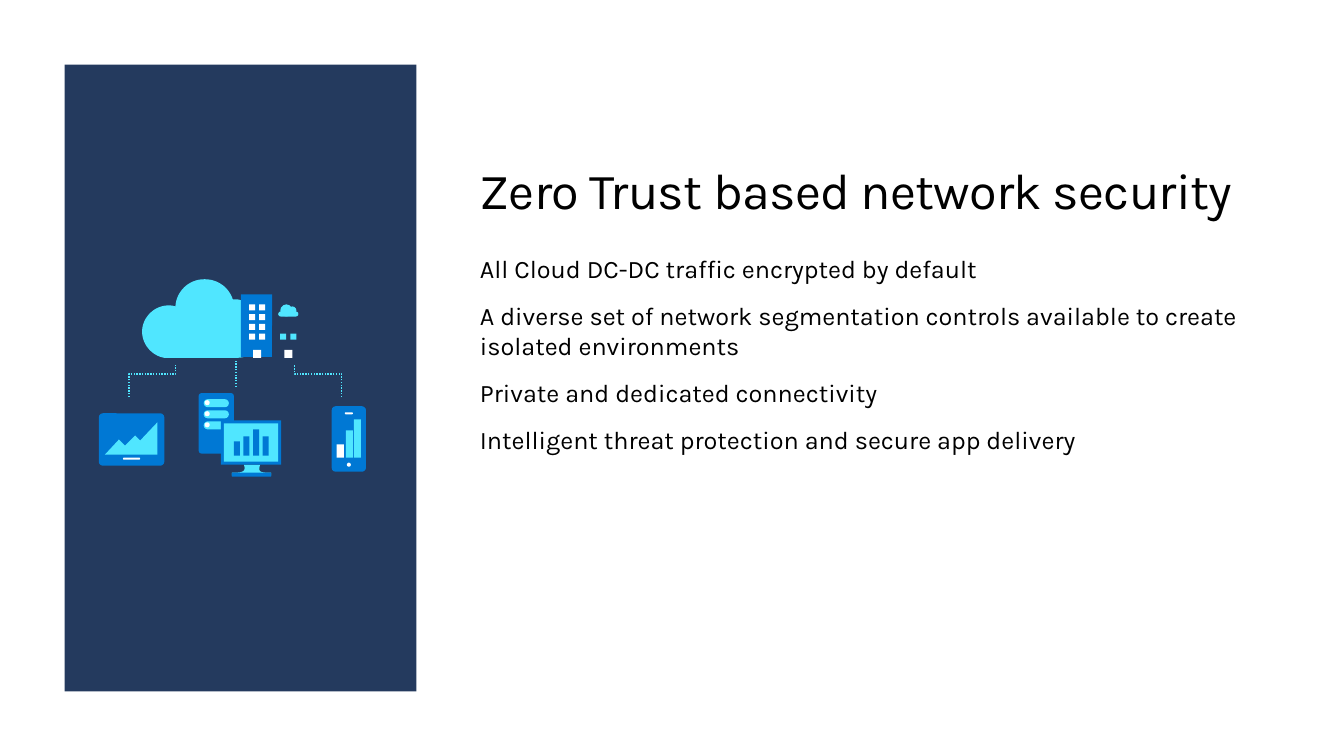
from lxml.etree import SubElement
from pptx import Presentation
from pptx.dml.color import RGBColor
from pptx.enum.dml import MSO_LINE
from pptx.enum.shapes import MSO_CONNECTOR, MSO_SHAPE as Shape
from pptx.enum.text import MSO_ANCHOR, PP_ALIGN
from pptx.oxml.ns import qn
from pptx.util import Inches, Pt

NAVY, BLUE, CYAN, WHITE, BLACK = "243A5E", "0078D4", "50E6FF", "FFFFFF", "000000"
FONT = "Karla"
TITLE = "Zero Trust based network security"
POINTS = [
    "All Cloud DC-DC traffic encrypted by default",
    "A diverse set of network segmentation controls available to create isolated environments",
    "Private and dedicated connectivity",
    "Intelligent threat protection and secure app delivery",
]


def color(value):
    return RGBColor.from_string(value)


def add_block(page, left, top, width, height, fill, kind=Shape.RECTANGLE, radius=None):
    """Filled preset shape; radius is the corner radius in inches."""
    if radius is not None:
        kind = Shape.ROUNDED_RECTANGLE
    block = page.shapes.add_shape(
        kind, Inches(left), Inches(top), Inches(width), Inches(height))
    if radius is not None:
        block.adjustments[0] = radius / min(width, height)
    block.fill.solid()
    block.fill.fore_color.rgb = color(fill)
    block.line.fill.background()
    block.shadow.inherit = False
    return block


def add_outline(page, points, closed=True):
    corners = [(Inches(x), Inches(y)) for x, y in points]
    builder = page.shapes.build_freeform(*corners[0], scale=1.0)
    builder.add_line_segments(corners[1:], close=closed)
    outline = builder.convert_to_shape()
    outline.shadow.inherit = False
    return outline


def add_filled_outline(page, points, fill):
    outline = add_outline(page, points)
    outline.fill.solid()
    outline.fill.fore_color.rgb = color(fill)
    outline.line.fill.background()


def set_dotted(line):
    line.color.rgb = color(CYAN)
    line.width = Pt(1)
    line.dash_style = MSO_LINE.ROUND_DOT


def curve(start, first, second, end, steps=16):
    """Points along a cubic curve, without its start."""
    points = []
    for step in range(1, steps + 1):
        t = step / steps
        weights = ((1 - t) ** 3, 3 * t * (1 - t) ** 2, 3 * t * t * (1 - t), t ** 3)
        points.append(tuple(
            sum(weight * value for weight, value in zip(weights, values))
            for values in zip(start, first, second, end)))
    return points


def add_text(page, left, top, width, height, lines, size, anchor, spacing=0, tracking=0):
    box = page.shapes.add_textbox(
        Inches(left), Inches(top), Inches(width), Inches(height))
    frame = box.text_frame
    frame.word_wrap = True
    frame.vertical_anchor = anchor
    frame.margin_left = frame.margin_right = frame.margin_top = frame.margin_bottom = 0
    frame.text = "\n".join(lines)
    for index, para in enumerate(frame.paragraphs):
        para.alignment = PP_ALIGN.LEFT
        para.space_before = Pt(spacing if index else 0)
        para.space_after = Pt(spacing)
        for span in para.runs:
            span.font.name = FONT
            span.font.size = Pt(size)
            span.font.color.rgb = color(BLACK)
            if tracking:
                span.font._element.set("spc", str(round(tracking * 100)))


def add_clouds(page):
    # Large cloud
    arcs = [
        ((2.51, 2.97), (2.35, 2.97), (2.35, 2.97)),
        ((2.34, 2.97), (2.32, 2.97), (2.31, 2.97)),
        ((2.27, 2.85), (2.16, 2.77), (2.03, 2.77)),
        ((1.87, 2.77), (1.75, 2.89), (1.74, 3.04)),
        ((1.71, 3.03), (1.69, 3.03), (1.67, 3.03)),
        ((1.53, 3.03), (1.41, 3.15), (1.41, 3.29)),
        ((1.41, 3.42), (1.51, 3.53), (1.63, 3.55)),
        ((1.65, 3.55), (2.35, 3.55), (2.35, 3.55)),
        ((2.51, 3.55), (2.64, 3.42), (2.64, 3.26)),
    ]
    points = [(2.64, 3.26)]
    for arc in arcs:
        points += curve(points[-1], *arc)
    add_filled_outline(page, points, CYAN)
    # Small cloud
    add_block(page, 2.78, 3.02, 0.12, 0.12, CYAN, Shape.OVAL)
    add_block(page, 2.86, 3.04, 0.08, 0.08, CYAN, Shape.OVAL)
    add_block(page, 2.76, 3.09, 0.2, 0.05, CYAN, radius=0.025)


def add_buildings(page):
    add_block(page, 2.39, 2.92, 0.31, 0.62, BLUE)
    add_block(page, 2.7, 3.23, 0.31, 0.31, NAVY)
    for row in range(4):
        for left in (2.47, 2.57):
            add_block(page, left, 3.02 + row * 0.097, 0.06, 0.06, WHITE)
    for left in (2.78, 2.88):
        add_block(page, left, 3.31, 0.06, 0.06, CYAN)
    for left in (2.51, 2.82):
        add_block(page, left, 3.47, 0.08, 0.08, WHITE)


def add_links(page):
    for outer, inner in ((1.28, 1.74), (3.39, 2.92)):
        elbow = add_outline(
            page, [(outer, 3.94), (outer, 3.71), (inner, 3.71), (inner, 3.62)], closed=False)
        elbow.fill.background()
        set_dotted(elbow.line)
    link = page.shapes.add_connector(
        MSO_CONNECTOR.STRAIGHT, Inches(2.34), Inches(3.84), Inches(2.34), Inches(3.58))
    set_dotted(link.line)
    SubElement(link._element.spPr, qn("a:effectLst"))


def add_tablet(page):
    add_block(page, 0.98, 4.1, 0.65, 0.52, BLUE, radius=0.04)
    add_filled_outline(page, [
        (1.04, 4.51), (1.18, 4.36), (1.24, 4.42), (1.34, 4.32),
        (1.39, 4.37), (1.56, 4.19), (1.56, 4.51)], CYAN)
    add_block(page, 1.22, 4.54, 0.17, 0.02, WHITE, radius=0.01)


def add_phone(page):
    add_block(page, 3.29, 4.03, 0.34, 0.65, BLUE, radius=0.04)
    add_block(page, 3.44, 4.59, 0.04, 0.04, WHITE, Shape.OVAL)
    add_block(page, 3.42, 4.09, 0.08, 0.02, WHITE, radius=0.01)
    for left, top, fill in ((3.34, 4.41, WHITE), (3.43, 4.27, CYAN), (3.51, 4.16, CYAN)):
        add_block(page, left, top, 0.07, 4.54 - top, fill)


def add_server(page):
    add_block(page, 1.97, 3.9, 0.35, 0.6, BLUE, radius=0.03)
    for row in range(3):
        top = 3.96 + row * 0.11
        add_block(page, 2.02, top, 0.25, 0.08, CYAN, radius=0.04)
        add_block(page, 2.03, top + 0.01, 0.05, 0.05, WHITE, Shape.OVAL)


def add_monitor(page):
    # Stand and foot
    left_side = curve((2.42, 4.61), (2.44, 4.68), (2.41, 4.69), (2.3, 4.69))
    right_side = curve((2.69, 4.69), (2.57, 4.69), (2.56, 4.68), (2.58, 4.61))
    add_filled_outline(page, [
        (2.58, 4.61), (2.42, 4.61), *left_side,
        (2.3, 4.72), (2.69, 4.72), (2.69, 4.69), *right_side], CYAN)
    add_block(page, 2.3, 4.69, 0.39, 0.04, BLUE)
    # Screen with bars
    add_block(page, 2.19, 4.17, 0.6, 0.44, BLUE)
    add_block(page, 2.22, 4.2, 0.54, 0.38, CYAN)
    for index, top in enumerate((4.38, 4.33, 4.26, 4.33)):
        add_block(page, 2.32 + index * 0.095, top, 0.06, 4.52 - top, BLUE)


def main():
    deck = Presentation()
    deck.slide_width, deck.slide_height = Inches(13.33), Inches(7.5)
    page = deck.slides.add_slide(deck.slide_layouts[6])

    # Side panel and text
    add_block(page, 0.64, 0.64, 3.49, 6.22, NAVY)
    add_text(page, 4.76, 1.57, 7.93, 0.61, [TITLE], 36, MSO_ANCHOR.BOTTOM, tracking=-0.5)
    add_text(page, 4.76, 2.51, 7.93, 2.02, POINTS, 18, MSO_ANCHOR.TOP, spacing=6)

    # Cloud network illustration
    for add_part in (add_clouds, add_buildings, add_tablet, add_phone,
                     add_server, add_links, add_monitor):
        add_part(page)

    deck.save("out.pptx")


if __name__ == "__main__":
    main()
